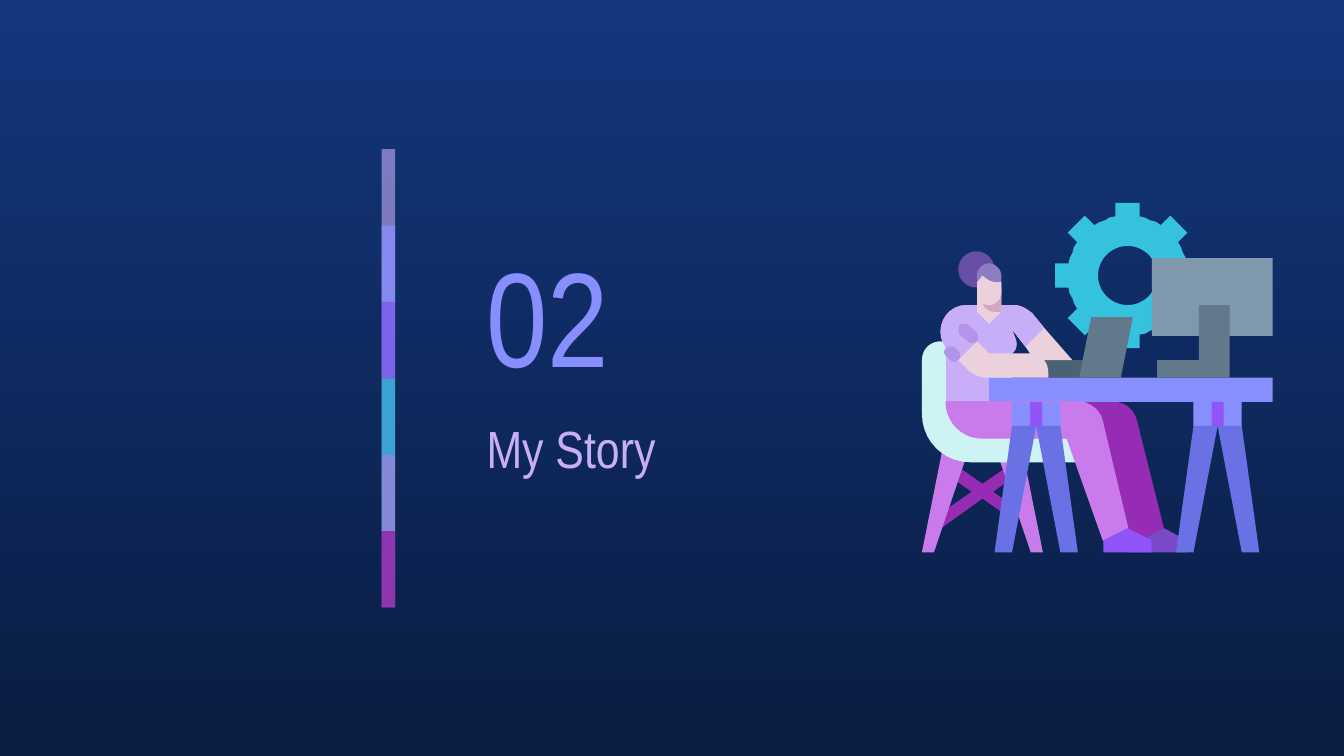
"""Build a section slide with a number, a title, a colour bar and a desk scene."""
from math import cos, radians, sin

from lxml import etree
from pptx import Presentation
from pptx.dml.color import RGBColor
from pptx.enum.shapes import MSO_SHAPE
from pptx.enum.text import MSO_ANCHOR, MSO_AUTO_SIZE, PP_ALIGN
from pptx.oxml.ns import qn
from pptx.util import Inches, Pt

RECT, OVAL = MSO_SHAPE.RECTANGLE, MSO_SHAPE.OVAL
TOP, MIDDLE = MSO_ANCHOR.TOP, MSO_ANCHOR.MIDDLE
NO_FIT, LEFT = MSO_AUTO_SIZE.NONE, PP_ALIGN.LEFT

FONT = "Arial Narrow"
TEAL, NAVY_TOP, NAVY_END = "35C2DF", "13367C", "0A1D42"
PERIWINKLE, INDIGO, VIOLET = "878FFF", "6971E5", "9154F8"
LILAC, LILAC_DARK, ORCHID, PLUM = "C8AEF8", "B394EB", "CA7BEB", "972CB4"
SKIN, SKIN_SHADE, HAIR, FRINGE = "EAD1DC", "D5A6BD", "674EA7", "8E7CC3"
STEEL, STEEL_MID, STEEL_DARK = "8098AB", "62798C", "4B6275"
SEAT, FAR_SHOE = "CEF3F5", "794BC8"

BARS = [(LILAC, 59), (PERIWINKLE, 74), (VIOLET, 53), (TEAL, 76), (ORCHID, 56), (PLUM, 74)]

CHAIR_BRACE = [(7.11, 3.46), (7.06, 3.54), (7.23, 3.66), (6.94, 3.86), (6.99, 3.94), (7.31, 3.71),
               (7.48, 3.83), (7.53, 3.76), (7.39, 3.66), (7.55, 3.54), (7.5, 3.47), (7.31, 3.6)]
CHAIR_LEG = [(0.09, 3.31), (0.36, 4.11), (0.45, 4.11), (0.29, 3.31)]
CHAIR_SEAT = [(7, 2.54), (6.92, 2.54, 6.86, 2.6, 6.86, 2.68), (6.86, 3.08), (6.86, 3.28, 7.02, 3.44, 7.22, 3.44),
              (8.07, 3.44), (8.07, 3.22), (7.31, 3.22), (7.19, 3.22, 7.09, 3.12, 7.09, 2.99), (7.09, 2.54)]
FAR_LEG = [(7.31, 2.99), (7.31, 3.14, 7.43, 3.26, 7.58, 3.26), (8.21, 3.26), (8.39, 4.02),
           (8.48, 4.02), (8.66, 3.93), (8.46, 3.13), (8.44, 3.05, 8.37, 2.99, 8.29, 2.99)]
FAR_FOOT = [(8.66, 3.93), (8.48, 4.02), (8.39, 4.02), (8.39, 4.11), (8.83, 4.11), (8.83, 4.02)]
NEAR_LEG = [(7.04, 2.99), (7.04, 3.14, 7.16, 3.26, 7.31, 3.26), (7.94, 3.26), (8.21, 4.02),
            (8.39, 3.93), (8.2, 3.13), (8.18, 3.05, 8.1, 2.99, 8.02, 2.99)]
NEAR_FOOT = [(8.39, 3.93), (8.21, 4.02), (8.21, 4.11), (8.57, 4.11), (8.57, 4.02)]
SHIRT = [(7.19, 2.27), (7.03, 2.27, 6.94, 2.46, 7.04, 2.59), (7.04, 2.99), (7.53, 2.99), (7.53, 2.63),
         (7.56, 2.61, 7.57, 2.57, 7.56, 2.53), (7.53, 2.45), (7.63, 2.58), (7.77, 2.44), (7.68, 2.33),
         (7.64, 2.3, 7.6, 2.27, 7.54, 2.27)]
FAR_ARM = SHIRT[:8] + [(7.7, 2.68), (7.98, 2.68)] + SHIRT[8:]
CUFF = [(7.07, 2.58), (7.06, 2.58, 7.05, 2.58, 7.04, 2.59), (7.02, 2.61, 7.02, 2.63, 7.04, 2.65),
        (7.07, 2.68), (7.09, 2.7, 7.11, 2.7, 7.13, 2.68), (7.15, 2.66, 7.15, 2.63, 7.13, 2.61),
        (7.11, 2.59), (7.1, 2.58, 7.08, 2.58, 7.07, 2.58)]
FOLD = [(7.18, 2.41), (7.17, 2.41, 7.15, 2.41, 7.14, 2.42), (7.13, 2.44, 7.13, 2.47, 7.14, 2.49),
        (7.2, 2.54), (7.22, 2.56, 7.25, 2.56, 7.27, 2.54), (7.28, 2.53, 7.28, 2.5, 7.27, 2.48),
        (7.21, 2.42), (7.2, 2.41, 7.19, 2.41, 7.18, 2.41)]
NECK = [(7.27, 2.14), (7.27, 2.32), (7.36, 2.41), (7.45, 2.32), (7.45, 2.14)]
NEAR_ARM = [(7.27, 2.54), (7.13, 2.68), (7.21, 2.76), (7.25, 2.79, 7.29, 2.81, 7.34, 2.81),
            (7.8, 2.81), (7.8, 2.77), (7.8, 2.69, 7.74, 2.63, 7.67, 2.63), (7.36, 2.63)]
LAPTOP = [(8.12, 2.36), (8.03, 2.81), (8.34, 2.81), (8.43, 2.36)]
STAND = [(8.92, 2.27), (8.92, 2.68), (8.61, 2.68), (8.61, 2.81), (9.15, 2.81), (9.15, 2.27)]
TRESTLE_LEG = [(0, 3.17), (0.18, 4.11), (0.31, 4.11), (0.18, 3.17)]
CHIN_SHADE = [(7.31, 2.14), (7.31, 2.23), (7.31, 2.28, 7.35, 2.32, 7.4, 2.32), (7.45, 2.32), (7.45, 2.14)]
HAIRLINE = [(7.36, 1.96), (7.31, 1.96, 7.27, 2, 7.27, 2.05), (7.27, 2.14), (7.45, 2.14), (7.45, 2.05),
            (7.45, 2, 7.4, 1.96, 7.36, 1.96)]
FACE = [(7.31, 2.05), (7.27, 2.1), (7.27, 2.18), (7.27, 2.23, 7.31, 2.27, 7.36, 2.27),
        (7.4, 2.27, 7.45, 2.23, 7.45, 2.18), (7.45, 2.1), (7.42, 2.1), (7.38, 2.1, 7.34, 2.08, 7.31, 2.05)]


def rgb(color):
    """Turn a hex string into a colour."""
    return RGBColor.from_string(color)


def paint(sp, color, alpha=100):
    """Give a shape a flat fill without line or shadow."""
    sp.shadow.inherit = False
    sp.line.fill.background()
    sp.fill.solid()
    sp.fill.fore_color.rgb = rgb(color)
    if alpha < 100:
        clr = sp.fill._xPr.find(".//" + qn("a:srgbClr"))
        etree.SubElement(clr, qn("a:alpha"), val=str(alpha * 1000))
    return sp


def preset(shapes, kind, color, x, y, w, h, alpha=100):
    """Add a painted preset shape."""
    paint(shapes.add_shape(kind, Inches(x), Inches(y), Inches(w), Inches(h)), color, alpha)


def flatten(contour, steps=10):
    """Turn corners (pairs) and Bezier curves (six numbers) into EMU points."""
    points = []
    for item in contour:
        if len(item) == 2:
            points.append(item)
            continue
        nodes = [points[-1], item[:2], item[2:4], item[4:]]
        for t in (i / steps for i in range(1, steps + 1)):
            weights = ((1 - t) ** 3, 3 * t * (1 - t) ** 2, 3 * t * t * (1 - t), t ** 3)
            points.append(tuple(sum(w * n[a] for w, n in zip(weights, nodes)) for a in (0, 1)))
    return [(Inches(x), Inches(y)) for x, y in points]


def outline(shapes, color, *contours):
    """Add a painted freeform made of closed contours."""
    first, *others = [flatten(c) for c in contours]
    fb = shapes.build_freeform(*first[0])
    fb.add_line_segments(first[1:], close=True)
    for points in others:
        fb.move_to(*points[0])
        fb.add_line_segments(points[1:], close=True)
    return paint(fb.convert_to_shape(), color)


def mirrored_legs(shapes, color, cx, leg):
    """Add a leg on both sides of a centre line."""
    for side in (-1, 1):
        outline(shapes, color, [(cx + side * x, y) for x, y in leg])


def gear(shapes, cx, cy):
    """Add an eight-toothed gear with a round hole."""
    tooth = [(-0.09, -0.44), (-0.09, -0.54), (0.09, -0.54), (0.09, -0.44), (0.13, -0.43), (0.17, -0.41), (0.21, -0.4)]
    rim = [(cx + x * cos(a) - y * sin(a), cy + x * sin(a) + y * cos(a))
           for a in map(radians, range(0, 360, 45)) for x, y in tooth]
    hole = [(cx + 0.22 * cos(a), cy - 0.22 * sin(a)) for a in map(radians, range(0, 360, 6))]
    outline(shapes, TEAL, hole, rim)


def trestle(shapes, cx):
    """Add a table trestle around a centre line."""
    preset(shapes, RECT, PERIWINKLE, cx - 0.18, 2.99, 0.36, 0.18)
    preset(shapes, RECT, VIOLET, cx - 0.045, 2.99, 0.09, 0.18)
    mirrored_legs(shapes, INDIGO, cx, TRESTLE_LEG)


def desk_scene(shapes):
    """Draw the person working at a desk."""
    gear(shapes, 8.39, 2.05)
    preset(shapes, RECT, STEEL_DARK, 7.76, 2.68, 0.31, 0.13)
    outline(shapes, PLUM, CHAIR_BRACE)
    mirrored_legs(shapes, ORCHID, 7.31, CHAIR_LEG)
    for color, part in ((SEAT, CHAIR_SEAT), (PLUM, FAR_LEG), (FAR_SHOE, FAR_FOOT), (SKIN, FAR_ARM), (LILAC, SHIRT)):
        outline(shapes, color, part)
    preset(shapes, RECT, PERIWINKLE, 7.36, 2.81, 2.11, 0.18)
    for color, part in ((LILAC_DARK, CUFF), (LILAC_DARK, FOLD), (SKIN, NECK), (SKIN, NEAR_ARM), (STEEL_MID, LAPTOP)):
        outline(shapes, color, part)
    line = outline(shapes, ORCHID, NEAR_LEG).line
    line.color.rgb, line.width = rgb(ORCHID), Pt(0.75)
    outline(shapes, VIOLET, NEAR_FOOT)
    preset(shapes, RECT, STEEL, 8.57, 1.92, 0.9, 0.58)
    outline(shapes, STEEL_MID, STAND)
    for cx in (9.06, 7.71):
        trestle(shapes, cx)
    outline(shapes, SKIN_SHADE, CHIN_SHADE)
    preset(shapes, OVAL, HAIR, 7.13, 1.87, 0.27, 0.27)
    outline(shapes, FRINGE, HAIRLINE)
    outline(shapes, SKIN, FACE)


def colour_bar(shapes):
    """Stack overlapping translucent bars."""
    top, bottom = 1.11, 4.52
    pitch = (bottom - top) / len(BARS)
    for i, (color, alpha) in enumerate(BARS):
        y = top + i * pitch
        preset(shapes, RECT, color, 2.84, y, 0.1, min(2 * pitch, bottom - y), alpha)


def heading(sp, text, box, size, color, anchor):
    """Place and format a title placeholder."""
    sp.left, sp.top, sp.width, sp.height = map(Inches, box)
    tf = sp.text_frame
    tf.text = text
    tf.word_wrap, tf.auto_size, tf.vertical_anchor = True, NO_FIT, anchor
    tf.margin_left = tf.margin_right = tf.margin_top = tf.margin_bottom = Inches(0.1)
    p = tf.paragraphs[0]
    p.alignment, p.space_before = LEFT, Pt(0)
    font = p.runs[0].font
    font.name, font.size, font.color.rgb = FONT, Pt(size), rgb(color)


def main():
    """Build and save the slide."""
    prs = Presentation()
    prs.slide_width, prs.slide_height = Inches(10), Inches(10) * 9 // 16
    s = prs.slides.add_slide(prs.slide_layouts[0])
    fill = s.background.fill
    fill.gradient()
    fill.gradient_angle = 270
    for stop, color in zip(fill.gradient_stops, (NAVY_TOP, NAVY_END)):
        stop.color.rgb = rgb(color)
    heading(s.shapes.title, "02", (3.52, 1.66, 1.75, 1.35), 72, PERIWINKLE, MIDDLE)
    heading(s.placeholders[1], "My Story", (3.52, 3, 2.87, 0.96), 28, LILAC, TOP)
    desk_scene(s.shapes.add_group_shape().shapes)
    colour_bar(s.shapes.add_group_shape().shapes)
    prs.save("out.pptx")


if __name__ == "__main__":
    main()
